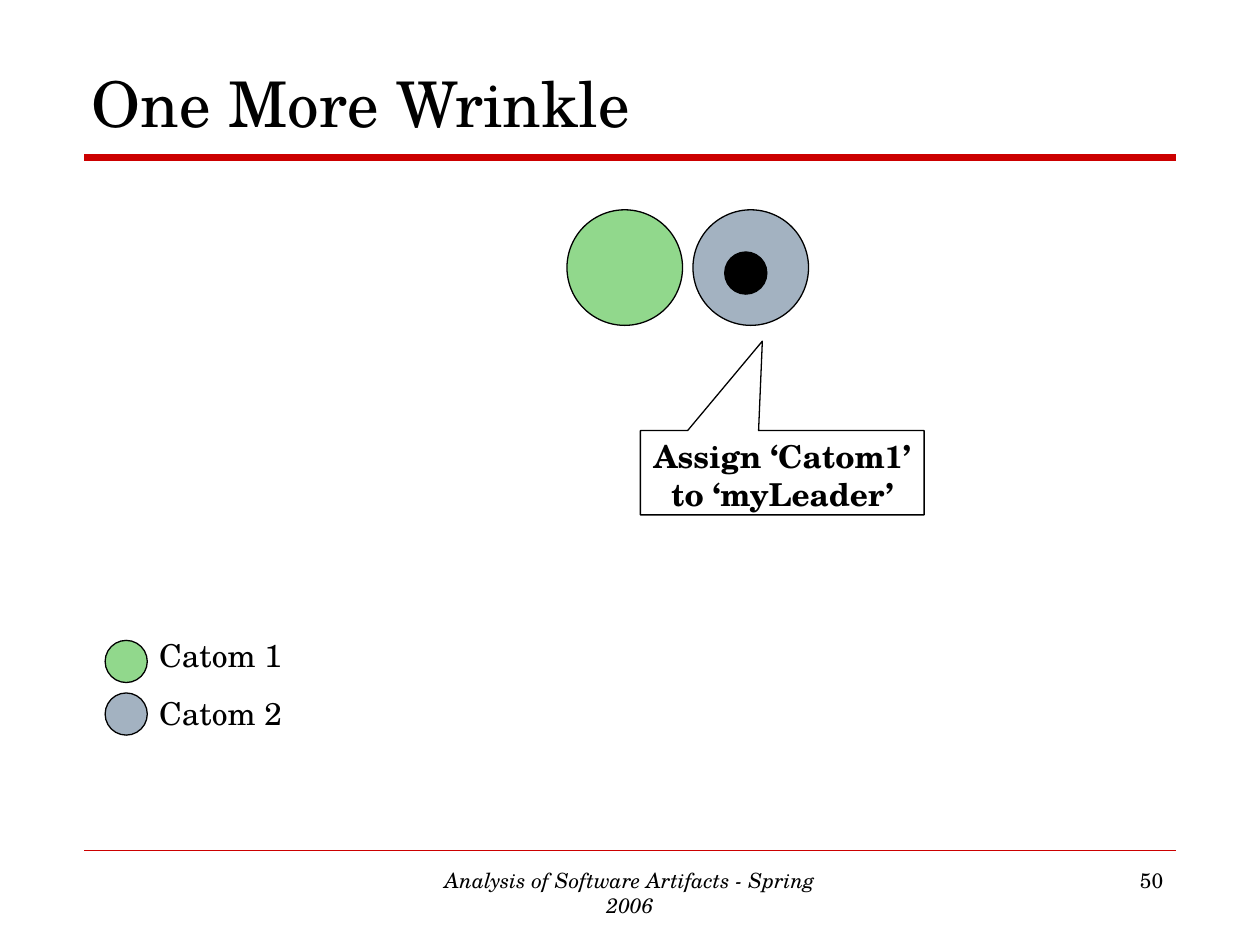
from dataclasses import dataclass

from lxml.etree import SubElement
from pptx import Presentation
from pptx.dml.color import RGBColor
from pptx.enum.shapes import MSO_CONNECTOR, MSO_SHAPE
from pptx.enum.text import MSO_ANCHOR, MSO_AUTO_SIZE, PP_ALIGN
from pptx.oxml.ns import qn
from pptx.util import Cm, Pt


@dataclass(frozen=True)
class Theme:
    """Hold the colours, font and type sizes of the slide."""

    font: str = "TeX Gyre Schola"
    ink: str = "000000"
    paper: str = "FFFFFF"
    rule: str = "CC0000"
    catom1: str = "91D88C"
    catom2: str = "A3B2C1"
    title: int = 36
    body: int = 18
    footer: int = 12
    outline: float = 0.75


THEME = Theme()


def rgb(color):
    """Turn a hex string into a colour."""
    return RGBColor.from_string(color)


def add_run(p, text, size, bold=False, italic=False):
    """Add one formatted run to a paragraph."""
    r = p.add_run()
    r.text = text
    r.font.name = THEME.font
    r.font.size = Pt(size)
    r.font.bold = bold
    r.font.italic = italic
    r.font.color.rgb = rgb(THEME.ink)


def set_frame(tf, anchor=MSO_ANCHOR.TOP, side=0.25):
    """Set wrapping, anchor and margins of a text frame."""
    tf.word_wrap = True
    tf.auto_size = MSO_AUTO_SIZE.NONE
    tf.vertical_anchor = anchor
    tf.margin_left = tf.margin_right = Cm(side)
    tf.margin_top = tf.margin_bottom = Cm(0.13)


def add_title(s, text):
    """Place and fill the title placeholder."""
    sp = s.shapes.title
    sp.left, sp.top, sp.width, sp.height = Cm(1.6), Cm(0.84), Cm(21.06), Cm(2.11)
    set_frame(sp.text_frame, MSO_ANCHOR.BOTTOM)
    p = sp.text_frame.paragraphs[0]
    p.alignment = PP_ALIGN.LEFT
    add_run(p, text, THEME.title)


def add_rule(s, y, weight):
    """Draw a horizontal rule across the slide."""
    line = s.shapes.add_connector(
        MSO_CONNECTOR.STRAIGHT, Cm(1.7), Cm(y), Cm(23.7), Cm(y))
    line.line.color.rgb = rgb(THEME.rule)
    line.line.width = Pt(weight)
    SubElement(line._element.spPr, qn("a:effectLst"))


def add_outlined(s, kind, x, y, w, h, fill):
    """Draw a filled shape with a thin outline."""
    sp = s.shapes.add_shape(kind, Cm(x), Cm(y), Cm(w), Cm(h))
    sp.shadow.inherit = False
    sp.fill.solid()
    sp.fill.fore_color.rgb = rgb(fill)
    sp.line.color.rgb = rgb(THEME.ink)
    sp.line.width = Pt(THEME.outline)
    return sp


def add_circle(s, x, y, size, fill):
    """Draw a circle."""
    add_outlined(s, MSO_SHAPE.OVAL, x, y, size, size, fill)


def add_callout(s, text):
    """Draw the callout that points at the second catom."""
    sp = add_outlined(
        s, MSO_SHAPE.RECTANGULAR_CALLOUT, 12.91, 8.68, 5.72, 1.7, THEME.paper)
    sp.adjustments[0], sp.adjustments[1] = -0.07, -1.56
    set_frame(sp.text_frame, side=0.13)
    p = sp.text_frame.paragraphs[0]
    p.alignment = PP_ALIGN.CENTER
    add_run(p, text, THEME.body, bold=True)


def add_text(s, x, y, w, h, lines, size, align=PP_ALIGN.LEFT, gap=0, italic=False):
    """Add a text box with one paragraph a line."""
    tf = s.shapes.add_textbox(Cm(x), Cm(y), Cm(w), Cm(h)).text_frame
    set_frame(tf)
    for i, text in enumerate(lines):
        p = tf.add_paragraph() if i else tf.paragraphs[0]
        p.alignment = align
        p.space_before = Pt(gap if i else 0)
        add_run(p, text, size, italic=italic)


def main():
    """Build and save the slide."""
    prs = Presentation()
    prs.slide_width, prs.slide_height = Cm(25.4), Cm(19.05)
    s = prs.slides.add_slide(prs.slide_layouts[5])
    add_rule(s, 17.15, 0.25)
    add_rule(s, 3.18, 4)
    add_title(s, "One More Wrinkle")
    for i, color in enumerate((THEME.catom1, THEME.catom2)):
        add_circle(s, 11.43 + 2.54 * i, 4.23, 2.33, color)
        add_circle(s, 2.12, 12.91 + 1.06 * i, 0.85, color)
    add_circle(s, 14.61, 5.08, 0.85, THEME.ink)
    add_text(s, 2.96, 12.7, 6.14, 2.18, ("Catom 1", "Catom 2"), THEME.body, gap=11.2)
    add_callout(s, "Assign ‘Catom1’ to ‘myLeader’")
    add_text(s, 8.68, 17.36, 8.04, 1.32,
             ("Analysis of Software Artifacts - Spring 2006",),
             THEME.footer, PP_ALIGN.CENTER, italic=True)
    add_text(s, 18.2, 17.36, 5.5, 1.32, ("50",), THEME.footer, PP_ALIGN.RIGHT)
    prs.save("out.pptx")


if __name__ == "__main__":
    main()
